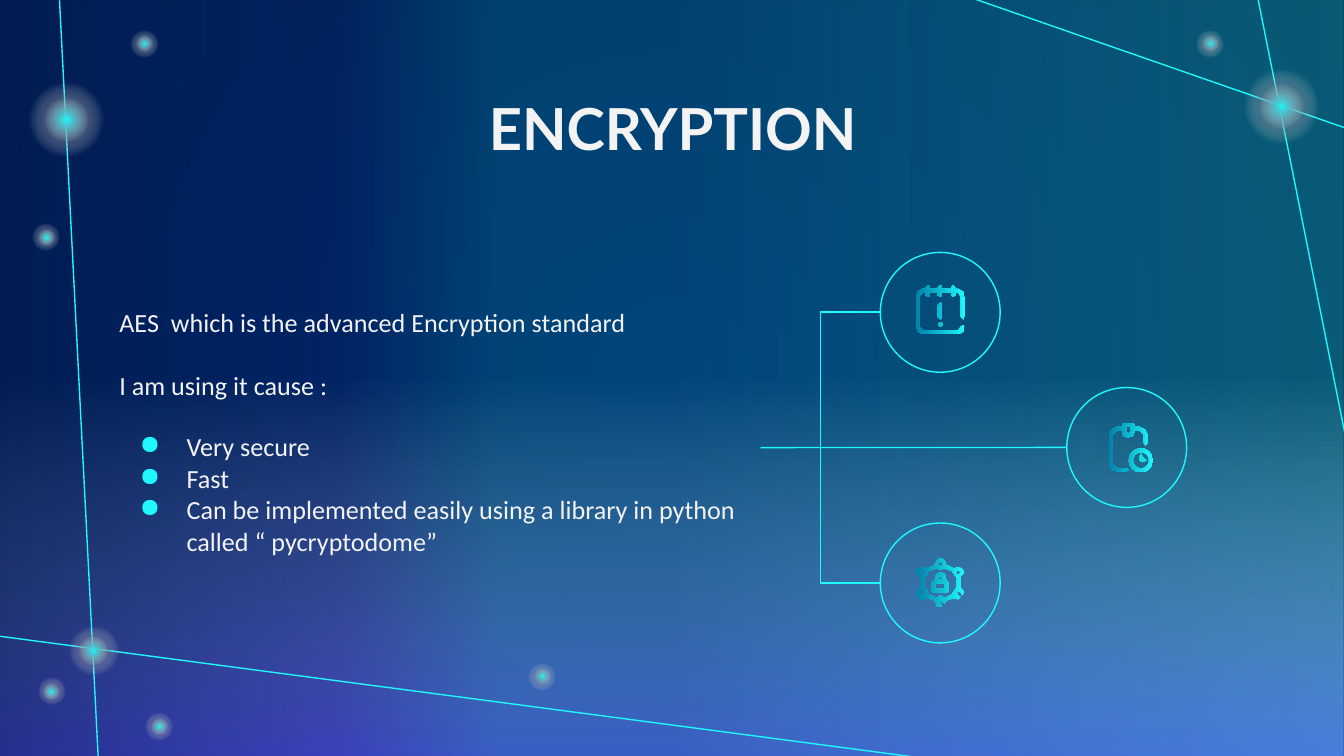
from math import cos, sin, tau

from pptx import Presentation
from pptx.dml.color import RGBColor
from pptx.enum.shapes import MSO_CONNECTOR, MSO_SHAPE
from pptx.enum.text import MSO_ANCHOR, PP_ALIGN
from pptx.oxml import parse_xml
from pptx.oxml.ns import nsdecls, qn
from pptx.oxml.xmlchemy import OxmlElement
from pptx.util import Pt

THEME = dict(
    navy="012060", night="00183A", cyan="20F8FD", teal="0182AA", blue="022E88",
    pale="F3F3F3", lilac="748BFF", violet="7659FF",
    title_font="Lato", title_size=31, body_font="Calibri", body_size=14, line=0.75,
)
WIDTH, HEIGHT = 720, 405

# Content: text, with the space before each paragraph
TITLE = "ENCRYPTION"
INTRO = [("AES  which is the advanced Encryption standard", 0),
         ("I am using it cause :", 17)]
REASONS = [("Very secure", 16), ("Fast", 0),
           ("Can be implemented easily using a library in python called “ pycryptodome”", 0)]

# Backdrop: gradient stops are (position, colour, opacity in percent)
WASHES = [
    (90, [(0, "lilac", 0), (50, "pale", 0), (100, "violet", 77)]),
    (180, [(0, "cyan", 29), (50, "teal", 36), (63, "teal", 36),
           (75, "blue", 35), (100, "navy", 60)]),
]
BEAMS = [(513.4, -3.6, 728.6, 71.3), (673.2, -4.3, 721.4, 236.9),
         (31.7, -3.6, 52.6, 405.4), (-2.2, 340.6, 493.9, 406.1)]
# Glowing nodes: centre x, centre y, diameter
NODES = [(686.5, 57.2, 56.9), (648.4, 23.4, 20.9), (85.3, 389.2, 20.9),
         (27.7, 370.4, 20.9), (290.5, 362.5, 20.9), (77.4, 23.4, 20.9),
         (24.8, 127.1, 20.9), (35.6, 64.1, 56.9), (50.4, 348.5, 37.4)]


def disc(x, y, radius, steps=24):
    return [(x + radius * cos(tau * i / steps), y + radius * sin(tau * i / steps))
            for i in range(steps)]


# Icon outlines on a grid of 0.72 pt; inner outlines are holes
ICON_GRID = 0.72
CALENDAR = [
    [(33, 24), (33, 9), (31, 6), (29, 6), (29, 8), (27, 9), (26, 8), (26, 6), (19, 6),
     (19, 8), (18, 9), (16, 8), (16, 6), (10, 6), (10, 8), (9, 9), (7, 8), (7, 6),
     (5, 6), (2, 9), (2, 31), (5, 34), (31, 34), (33, 31), (35, 30), (36, 31),
     (35, 35), (31, 37), (5, 37), (1, 35), (0, 31), (0, 9), (1, 5), (5, 3), (7, 3),
     (7, 2), (9, 0), (10, 2), (10, 3), (16, 3), (16, 2), (18, 0), (19, 2), (19, 3),
     (26, 3), (26, 2), (27, 0), (29, 2), (29, 3), (31, 3), (35, 5), (36, 9),
     (36, 24), (35, 26)],
    [(16, 15), (18, 13), (19, 15), (19, 24), (18, 26), (16, 24)],
    disc(18, 29.5, 1.5),
]
CLIPBOARD = [
    [(13, 34), (6, 34), (3, 31), (3, 9), (6, 6), (10, 6), (10, 7), (11, 10), (14, 11),
     (18, 10), (19, 7), (19, 6), (23, 6), (26, 9), (26, 15), (27.5, 17), (29, 15),
     (29, 9), (27, 5), (23, 3), (19, 3), (19, 1), (17, 0), (11, 0), (10, 1), (10, 3),
     (6, 3), (2, 5), (0, 9), (0, 31), (2, 35), (6, 36), (13, 36), (15, 35)],
    [(13, 3), (16, 3), (16, 7), (14.5, 8), (13, 7)],
    disc(24, 28, 9), disc(24, 28, 6),
    [(28, 28), (26, 29), (24, 29), (23, 28), (23, 25), (24, 23), (25, 25), (25, 26),
     (26, 26)],
]
GEAR_LOCK = [
    [(33, 22), (33, 14), (36, 11), (34, 8), (31, 7), (28, 8), (22, 5), (21, 2), (18, 0),
     (15, 2), (14, 5), (8, 8), (5, 7), (1, 8), (0, 11), (3, 15), (3, 22), (0, 26),
     (1, 30), (5, 31), (8, 30), (14, 32), (15, 36), (18, 37), (19, 36), (18, 34),
     (17, 33), (18, 31), (19, 33), (21, 34), (22, 32), (28, 30), (31, 31), (33, 29),
     (31, 28), (30, 26), (31, 25), (33, 26), (34, 28), (36, 26)],
    [(27, 26), (27, 27), (21, 30), (18, 28), (15, 30), (9, 27), (9, 26), (6, 22),
     (6, 15), (9, 11), (9, 10), (15, 8), (18, 9), (21, 8), (27, 10), (27, 11),
     (30, 15), (30, 22)],
    disc(18, 4.5, 1.5), disc(5, 11, 1.5), disc(5, 26, 1.5), disc(31, 11, 1.5),
    [(22, 16), (22, 15), (21, 12), (18, 11), (15, 12), (14, 15), (14, 16), (11, 19),
     (11, 25), (13, 26), (23, 26), (24, 25), (24, 19)],
    [(16.5, 16), (16.5, 15), (18, 14), (19.5, 15), (19.5, 16)],
    [(14, 23), (14, 19), (21, 19), (21, 23)],
]
# Badges: circle left, circle top, connector kind, icon left, icon top, icon
BADGE = 64.2
BADGES = [
    (471.6, 135.2, MSO_CONNECTOR.ELBOW, 491, 152.6, CALENDAR),
    (571.5, 207.6, MSO_CONNECTOR.STRAIGHT, 594, 226.5, CLIPBOARD),
    (471.6, 280.2, MSO_CONNECTOR.ELBOW, 491, 298.8, GEAR_LOCK),
]


def color(key):
    return RGBColor.from_string(THEME[key])


def paint_gradient(fill, element, stops, angle=None):
    """Linear when an angle is given, otherwise radial from the centre."""
    fill.gradient()
    marks = "".join(
        f'<a:gs pos="{pos * 1000}"><a:srgbClr val="{THEME[key]}">'
        f'<a:alpha val="{opacity * 1000}"/></a:srgbClr></a:gs>'
        for pos, key, opacity in stops)
    if angle is None:
        course = ('<a:path path="circle"><a:fillToRect l="50000" t="50000" '
                  'r="50000" b="50000"/></a:path>')
    else:
        course = f'<a:lin ang="{angle * 60000}" scaled="0"/>'
    default = element.find(".//" + qn("a:gradFill"))
    default.getparent().replace(default, parse_xml(
        f'<a:gradFill {nsdecls("a")} rotWithShape="1"><a:gsLst>{marks}</a:gsLst>'
        f'{course}</a:gradFill>'))


def add_preset(kind, left, top, width, height):
    shape = slide.shapes.add_shape(kind, Pt(left), Pt(top), Pt(width), Pt(height))
    shape.shadow.inherit = False
    shape.line.fill.background()
    return shape


def stroke(line):
    line.color.rgb = color("cyan")
    line.width = Pt(THEME["line"])


def add_link(kind, x1, y1, x2, y2):
    link = slide.shapes.add_connector(kind, Pt(x1), Pt(y1), Pt(x2), Pt(y2))
    stroke(link.line)
    link._element.spPr.append(OxmlElement("a:effectLst"))
    return link


def add_icon(left, top, outlines):
    unit = Pt(ICON_GRID)
    scaled = [[(x * unit, y * unit) for x, y in outline] for outline in outlines]
    builder = slide.shapes.build_freeform(*scaled[0][0])
    for number, outline in enumerate(scaled):
        if number:
            builder.move_to(*outline[0])
        builder.add_line_segments(outline[1:], close=True)
    icon = builder.convert_to_shape(Pt(left), Pt(top))
    icon.shadow.inherit = False
    icon.line.fill.background()
    paint_gradient(icon.fill, icon._element, [(0, "cyan", 100), (100, "teal", 100)], 180)


def add_text(left, top, width, height, paragraphs, role, bold=False):
    box = slide.shapes.add_textbox(Pt(left), Pt(top), Pt(width), Pt(height))
    frame = box.text_frame
    frame.word_wrap = True
    frame.vertical_anchor = MSO_ANCHOR.TOP
    frame.margin_left = frame.margin_right = frame.margin_top = frame.margin_bottom = Pt(7.2)
    frame.text = "\n".join(text for text, _ in paragraphs)
    for paragraph, (_, gap) in zip(frame.paragraphs, paragraphs):
        paragraph.space_before = Pt(gap)
        font = paragraph.runs[0].font
        font.name, font.size = THEME[role + "_font"], Pt(THEME[role + "_size"])
        font.bold, font.color.rgb = bold, color("pale")
    return box


def add_bullet(paragraph):
    props = paragraph._p.get_or_add_pPr()
    props.set("marL", str(Pt(36)))
    props.set("indent", str(Pt(-25.2)))
    props.append(parse_xml(f'<a:buClr {nsdecls("a")}><a:srgbClr val="{THEME["cyan"]}"/></a:buClr>'))
    props.append(parse_xml(f'<a:buChar {nsdecls("a")} char="●"/>'))


prs = Presentation()
prs.slide_width, prs.slide_height = Pt(WIDTH), Pt(HEIGHT)
slide = prs.slides.add_slide(prs.slide_layouts[6])

# Backdrop
paint_gradient(slide.background.fill, slide._element, [(0, "navy", 100), (100, "night", 100)])
for angle, stops in WASHES:
    wash = add_preset(MSO_SHAPE.RECTANGLE, 0, 0, WIDTH, HEIGHT)
    paint_gradient(wash.fill, wash._element, stops, angle)
for beam in BEAMS:
    add_link(MSO_CONNECTOR.STRAIGHT, *beam)
for x, y, diameter in NODES:
    for key, size in (("night", diameter), ("cyan", diameter * 0.6)):
        glow = add_preset(MSO_SHAPE.OVAL, x - size / 2, y - size / 2, size, size)
        paint_gradient(glow.fill, glow._element,
                       [(0, key, 100), (50, "pale", 0), (100, "pale", 0)])

# Title and body
heading = add_text(56.9, 42.5, 607, 49.7, [(TITLE, 0)], "title", bold=True)
heading.text_frame.paragraphs[0].alignment = PP_ALIGN.CENTER
body = add_text(56.9, 157, 350.6, 165.6, INTRO + REASONS, "body")
for reason in body.text_frame.paragraphs[len(INTRO):]:
    add_bullet(reason)

# Badges, each linked to the body's right side
for left, top, kind, icon_left, icon_top, outlines in BADGES:
    badge = add_preset(MSO_SHAPE.OVAL, left, top, BADGE, BADGE)
    badge.fill.background()
    stroke(badge.line)
    link = add_link(kind, 407.5, 239.8, left, top + BADGE / 2)
    link.begin_connect(body, 3)
    add_icon(icon_left, icon_top, outlines)

prs.save("out.pptx")
